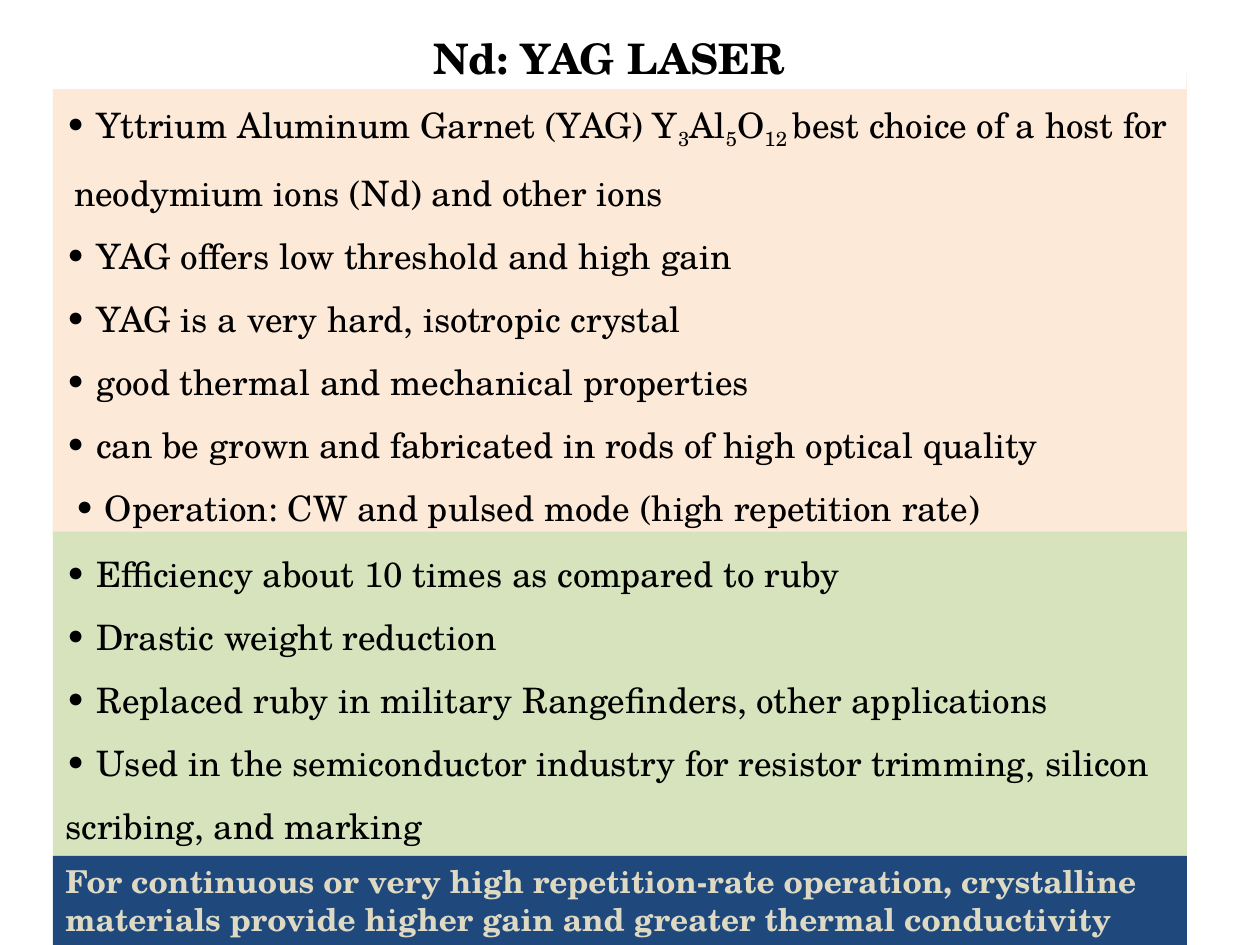
from dataclasses import dataclass

from pptx import Presentation
from pptx.dml.color import RGBColor
from pptx.enum.shapes import MSO_SHAPE as Shape
from pptx.enum.text import MSO_ANCHOR as Anchor
from pptx.enum.text import MSO_AUTO_SIZE as AutoSize
from pptx.enum.text import PP_ALIGN as Align
from pptx.util import Pt

FONT = "TeX Gyre Schola"
COLORS = {
    "white": "FFFFFF",
    "black": "000000",
    "peach": "FDE9D8",
    "green": "D6E3BC",
    "navy": "1F497D",
    "sand": "DDD9C3",
}
PANEL_LEFT, PANEL_WIDTH = 30.25, 648
SUBSCRIPT_MARK = "|"  # text between two marks is set as subscript


@dataclass(frozen=True)
class Line:
    text: str
    margin: float = 0
    first_indent: float = 0


@dataclass(frozen=True)
class Panel:
    top: float
    height: float
    fill: str
    lines: tuple[Line, ...]
    left: float = PANEL_LEFT
    width: float = PANEL_WIDTH
    size: float = 20
    color: str = "black"
    bold: bool = False
    spacing: float = 1.5
    align: Align = Align.LEFT
    anchor: Anchor = Anchor.TOP


# Panels from back to front; each overlaps the end of its neighbour
PANELS = (
    Panel(300.25, 189.25, "green", (
        Line("• Efficiency about 10 times as compared to ruby"),
        Line("• Drastic weight reduction"),
        Line("• Replaced ruby in military Rangefinders, other applications"),
        Line("• Used in the semiconductor industry for resistor trimming, "
             "silicon scribing, and marking"),
    )),
    Panel(41.75, 262, "peach", (
        Line("• Yttrium Aluminum Garnet (YAG) Y|3|Al|5|O|12 |best choice of "
             "a host for neodymium ions (Nd) and other ions", 5, -5),
        Line("• YAG offers low threshold and high gain"),
        Line("• YAG is a very hard, isotropic crystal"),
        Line("• good thermal and mechanical properties"),
        Line("• can be grown and fabricated in rods of high optical quality"),
        Line("• Operation: CW and pulsed mode (high repetition rate)", 5),
    )),
    Panel(489, 51, "navy", (
        Line("For continuous or very high repetition-rate operation, "
             "crystalline materials provide higher gain and greater thermal "
             "conductivity"),
    ), size=18, color="sand", bold=True, spacing=1),
    Panel(0, 51, "white", (Line("Nd: YAG LASER"),), left=18, width=660,
          size=24, bold=True, align=Align.CENTER, anchor=Anchor.MIDDLE),
)


def rgb(name: str) -> RGBColor:
    return RGBColor.from_string(COLORS[name])


def write_line(paragraph, line: Line, panel: Panel) -> None:
    paragraph.alignment = panel.align
    paragraph.line_spacing = panel.spacing
    properties = paragraph._p.get_or_add_pPr()
    properties.set("marL", str(Pt(line.margin)))
    properties.set("indent", str(Pt(line.first_indent)))
    for index, piece in enumerate(line.text.split(SUBSCRIPT_MARK)):
        run = paragraph.add_run()
        run.text = piece
        run.font.name = FONT
        run.font.size = Pt(panel.size)
        run.font.bold = panel.bold
        run.font.color.rgb = rgb(panel.color)
        if index % 2:
            run.font._element.set("baseline", "-25000")


def draw_panel(slide, panel: Panel) -> None:
    shape = slide.shapes.add_shape(
        Shape.RECTANGLE, Pt(panel.left), Pt(panel.top),
        Pt(panel.width), Pt(panel.height))
    shape.shadow.inherit = False
    shape.fill.solid()
    shape.fill.fore_color.rgb = rgb(panel.fill)
    shape.line.fill.background()

    text_frame = shape.text_frame
    text_frame.word_wrap = True
    text_frame.auto_size = AutoSize.SHAPE_TO_FIT_TEXT
    text_frame.vertical_anchor = panel.anchor
    for index, line in enumerate(panel.lines):
        paragraph = (text_frame.add_paragraph() if index
                     else text_frame.paragraphs[0])
        write_line(paragraph, line, panel)


def main() -> None:
    presentation = Presentation()
    presentation.slide_width, presentation.slide_height = Pt(720), Pt(540)
    slide = presentation.slides.add_slide(presentation.slide_layouts[6])
    for panel in PANELS:
        draw_panel(slide, panel)
    presentation.save("out.pptx")


if __name__ == "__main__":
    main()
